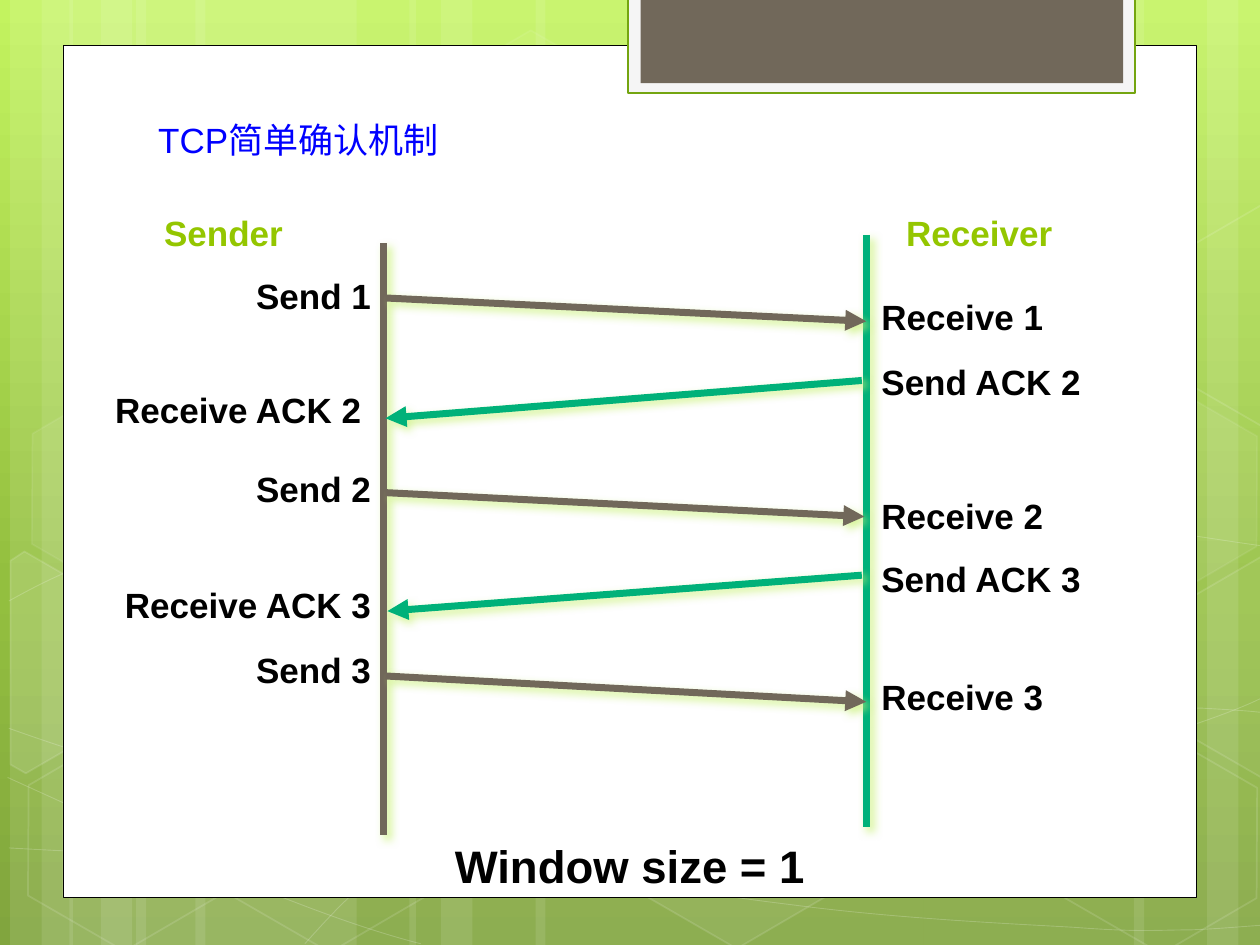
"""Build a slide on the simple TCP acknowledgement exchange."""
import copy

import pptx
import pptx.dml.color
import pptx.enum.dml
import pptx.enum.shapes
import pptx.enum.text
import pptx.oxml
import pptx.oxml.ns
import pptx.util

RGB = pptx.dml.color.RGBColor
WHITE = RGB(0xFF, 0xFF, 0xFF)
BLACK = RGB(0, 0, 0)
BLUE = RGB(0, 0, 0xFF)
LIME = RGB(0x94, 0xC6, 0x00)
LEAF = RGB(0x74, 0xA5, 0x10)
JADE = RGB(0x00, 0xB1, 0x79)
STONE = RGB(0x71, 0x68, 0x5A)
MIST = RGB(0xF5, 0xF5, 0xF5)
SKY = [(0, RGB(0xC3, 0xF3, 0x5F)), (0.62, RGB(0x93, 0xBF, 0x3F)), (1, RGB(0x81, 0xA5, 0x3E))]

Pt = pptx.util.Pt
KIND = pptx.enum.shapes.MSO_SHAPE
ALIGN = pptx.enum.text.PP_ALIGN
ANCHOR = pptx.enum.text.MSO_ANCHOR
qn = pptx.oxml.ns.qn
NS = pptx.oxml.ns.nsdecls("a")
GLOW = (f'<a:effectLst {NS}><a:outerShdw blurRad="63500" dist="38100" dir="2700000">'
        '<a:srgbClr val="CAF278"><a:alpha val="75000"/></a:srgbClr></a:outerShdw></a:effectLst>')

deck = pptx.Presentation()
deck.slide_width = pptx.util.Inches(10)
deck.slide_height = pptx.util.Inches(7.5)
UNIT = deck.slide_width / 100
slide = deck.slides.add_slide(deck.slide_layouts[5])
shapes = slide.shapes


def grid(*cells):
    """Turn cells of a 100 by 75 grid into lengths."""
    return [pptx.util.Emu(round(cell * UNIT)) for cell in cells]


def write(box, text, size=20, color=BLACK, bold=True, align=ALIGN.LEFT,
          anchor=ANCHOR.TOP, space=None, pad=(0.2, 0.3)):
    """Put formatted text in a box."""
    frame = box.text_frame
    frame.word_wrap = True
    frame.vertical_anchor = anchor
    frame.margin_left, frame.margin_top, frame.margin_right, frame.margin_bottom = grid(*pad * 2)
    para = frame.paragraphs[0]
    para.text = text
    para.alignment = align
    para.line_spacing = space
    font = para.font
    font.name, font.size, font.bold = "Arial", Pt(size), bold
    font.color.rgb = color


back = slide.background.fill
back.gradient()
back.gradient_angle = 270
stops = slide.element.find(".//" + qn("a:gsLst"))
stops.insert(1, copy.deepcopy(stops[0]))
for stop, (place, color) in zip(back.gradient_stops, SKY):
    stop.position = place
    stop.color.rgb = color

faint = []
bands = [(10.8, 17.5), (0.8, 5), (3.3, 8.3), (15.5, 17.5), (5.5, 5), (8, 8.3),
         (73.3, 17.5), (95.8, 5), (90, 8.3), (42.5, 30.8), (32.5, 5), (35, 8.3)]
for left, width in bands:
    faint.append((shapes.add_shape(KIND.RECTANGLE, *grid(left, 0, width, 75)), 10, 0, 0))

curves = [
    [(0.7, 67.3), (6.1, 67.6, 11.5, 67.9, 19, 67.8), (26.5, 67.7, 35.8, 67.5, 45.8, 66.5),
     (55.8, 65.5, 70, 63.6, 79.2, 61.7), (88.3, 59.8, 97.7, 56.8, 100.7, 55.1)],
    [(0.7, 47.7), (3.6, 46.1, 6.5, 44.6, 12.1, 43.1), (17.8, 41.6, 25.9, 39.4, 34.7, 38.7),
     (43.6, 38, 54.4, 37.9, 65.4, 38.7), (76.4, 39.5, 94.7, 42.6, 100.7, 43.4)],
    [(0.6, 61.7), (12.7, 67.2, 24.7, 72.7, 33.4, 74.9)],
    [(0.7, 57.8), (3.8, 58.9, 7, 60, 12.8, 61.6), (18.6, 63.1, 27.3, 65.6, 35.7, 67.3),
     (44, 69, 54.5, 70.8, 62.8, 71.8), (71.1, 72.9, 80, 73.3, 85.3, 73.6),
     (90.5, 74, 91.9, 73.8, 94.5, 73.8), (97.1, 73.7, 98.9, 73.5, 100.7, 73.4)],
    [(24.2, 74.9), (26, 72.9, 27.8, 70.9, 30.2, 69.1), (32.6, 67.3, 36, 65.3, 38.8, 63.9),
     (41.6, 62.5, 43.3, 61.9, 47, 60.9), (50.6, 59.9, 57.3, 58.5, 60.8, 57.8),
     (64.4, 57.1, 64.9, 57.1, 68, 56.9), (71.1, 56.6, 76, 56.3, 79.4, 56.2),
     (82.9, 56.1, 88.6, 56.2, 88.6, 56.2), (90.8, 56.2, 93.1, 56.2, 95.3, 56.2),
     (97.1, 56.3, 98.8, 56.4, 99.7, 56.5), (100.6, 56.6, 100.3, 56.5, 100.6, 56.6)],
]
for start, *arcs in curves:
    pen = shapes.build_freeform(*grid(*start))
    pen.add_line_segments([grid(*arc[i:i + 2]) for arc in arcs for i in (0, 2, 4)], close=False)
    curve = pen.convert_to_shape()
    route = curve.element.spPr.find(".//" + qn("a:path"))
    knots = route.findall(qn("a:lnTo"))
    for i in range(0, len(knots), 3):
        bend = pptx.oxml.parse_xml(f"<a:cubicBezTo {NS}/>")
        route.append(bend)
        for knot in knots[i:i + 3]:
            bend.append(knot[0])
            route.remove(knot)
    faint.append((curve, 0, 20, 0.5))

cells = [(33.4, 3.6, 4, 8), (49.7, 58.9, 6, 12), (1.1, 59.1, 0, 12), (1.4, 31.2, 7, 8),
         (17.4, 59.2, 0, 12), (75.3, 45.3, 10, 12), (83.4, 59.3, 0, 12), (83.4, 31.4, 7, 8)]
for left, top, fill, edge in cells:
    cell = shapes.add_shape(KIND.HEXAGON, *grid(left, top, 17.5, 15.2))
    cell.adjustments[0], cell.adjustments[1] = 0.285, 1.155
    cell.rotation = 30
    faint.append((cell, fill, edge, 1))

west = [(-6.9, -6.4), (-6.3, -7.6), (2.6, -7.6), (6.9, 0.1), (2.6, 7.6), (1.2, 7.6)]
east = [(-6.8, -0.1), (-2.5, -7.6), (-1.6, -7.6), (6.8, 6.9), (6.3, 7.6), (-2.4, 7.6)]
parts = [(west, 3.6, 53.5, 10), (east, 98.5, 52, 4), (east, 98.5, 24.1, 0)]
for dots, x, y, fill in parts:
    first, *rest = [grid(x + dx, y + dy) for dx, dy in dots]
    pen = shapes.build_freeform(*first)
    pen.add_line_segments(rest)
    part = pen.convert_to_shape()
    part.rotation = 30
    faint.append((part, fill, 12, 1))

for shape, fill, edge, width in faint:
    shape.shadow.inherit = False
    for part, alpha in ((shape.fill, fill), (shape.line.fill, edge)):
        if alpha:
            part.solid()
            part.fore_color.rgb = WHITE
        else:
            part.background()
    if edge:
        shape.line.width = Pt(width)
    tints = shape.element.spPr.iter(qn("a:srgbClr"))
    for tint, alpha in zip(tints, [share for share in (fill, edge) if share]):
        tint.append(pptx.oxml.parse_xml(f'<a:alpha {NS} val="{alpha * 1000}"/>'))

panels = [((5, 3.6, 90, 67.65), WHITE, BLACK, 0.5), ((49.85, -0.2, 40.25, 7.6), MIST, LEAF, 1.25),
          ((50.85, -0.2, 38.3, 6.8), STONE, None, 0)]
for place, fill, edge, width in panels:
    panel = shapes.add_shape(KIND.RECTANGLE, *grid(*place))
    panel.shadow.inherit = False
    panel.fill.solid()
    panel.fill.fore_color.rgb = fill
    if edge is None:
        panel.line.fill.background()
    else:
        panel.line.color.rgb = edge
        panel.line.width = Pt(width)

note = shapes.add_textbox(*grid(5, 66.8, 90, 4.2))
write(note, "Window size = 1", size=26, align=ALIGN.CENTER, anchor=ANCHOR.MIDDLE,
      space=0.95, pad=(0.9, 0.4))

for name, left, width in ((" Sender", 12.05, 14.4), (" Receiver", 70.95, 17.5)):
    head = shapes.add_shape(KIND.RECTANGLE, *grid(left, 17, width, 4.7))
    head.shadow.inherit = False
    head.line.fill.background()
    head.fill.solid()
    head.fill.fore_color.rgb = WHITE
    write(head, name, color=LIME, space=Pt(20.2))

labels = [
    ("Send 1", 21.55, 12.2, "Receive 1", 23.2, 15.9),
    ("Receive ACK 2 ", 30.55, 26.4, "Send ACK 2", 28.4, 19.2),
    ("Send 2", 36.85, 12.2, "Receive 2", 39, 15.9),
    ("Receive ACK 3", 46.05, 25.9, "Send ACK 3", 44, 21.7),
    ("Send 3", 51.2, 11.7, "Receive 3", 53.4, 15.9),
]
for near, high, wide, far, low, span in labels:
    write(shapes.add_textbox(*grid(29.65 - wide, high, wide, 5.8)), near,
          align=ALIGN.RIGHT, space=Pt(23.6))
    write(shapes.add_textbox(*grid(69.75, low, span, 5.8)), far, space=Pt(23.6))

lines = [
    (30.45, 19.3, 30.45, 66.3, STONE, False), (68.75, 18.65, 68.75, 65.65, JADE, False),
    (30.6, 23.65, 68.75, 25.5, STONE, True), (68.4, 30.2, 30.6, 33.2, JADE, True),
    (30.6, 39.1, 68.6, 41, STONE, True), (68.4, 45.65, 30.75, 48.5, JADE, True),
    (30.6, 53.65, 68.75, 55.7, STONE, True),
]
for *ends, color, arrow in lines:
    link = shapes.add_connector(pptx.enum.shapes.MSO_CONNECTOR.STRAIGHT, *grid(*ends))
    link.line.color.rgb = color
    link.line.width = Pt(4)
    if arrow:
        link.element.spPr.find(qn("a:ln")).append(
            pptx.oxml.parse_xml(f'<a:tailEnd {NS} type="triangle"/>'))
    link.element.spPr.append(pptx.oxml.parse_xml(GLOW))

title = shapes.title
title.left, title.top, title.width, title.height = grid(11.55, 8.9, 24.5, 4.4)
write(title, "TCP简单确认机制", color=BLUE, bold=False, pad=(1, 0.5))
title.text_frame.auto_size = pptx.enum.text.MSO_AUTO_SIZE.SHAPE_TO_FIT_TEXT
title.element.getparent().append(title.element)

deck.save("out.pptx")
